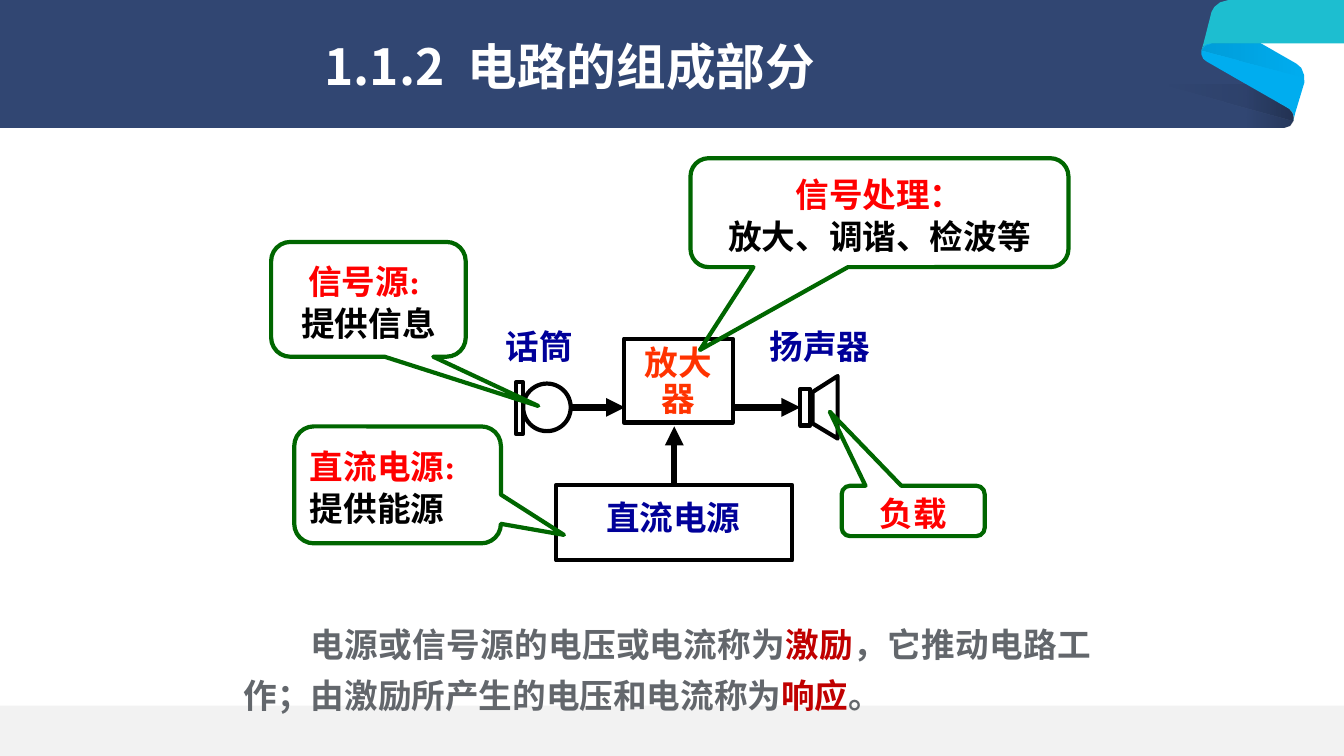
from dataclasses import dataclass

from lxml import etree
from pptx import Presentation
from pptx.dml.color import RGBColor
from pptx.enum.shapes import MSO_CONNECTOR, MSO_SHAPE
from pptx.enum.text import MSO_ANCHOR, MSO_AUTO_SIZE, PP_ALIGN
from pptx.oxml.ns import qn
from pptx.util import Pt

RECT, OVAL = MSO_SHAPE.RECTANGLE, MSO_SHAPE.OVAL
CALLOUT = MSO_SHAPE.ROUNDED_RECTANGULAR_CALLOUT
STRAIGHT = MSO_CONNECTOR.STRAIGHT
TOP, MIDDLE = MSO_ANCHOR.TOP, MSO_ANCHOR.MIDDLE
LEFT, CENTER, JUSTIFY = PP_ALIGN.LEFT, PP_ALIGN.CENTER, PP_ALIGN.JUSTIFY
NO_FIT = MSO_AUTO_SIZE.NONE


@dataclass(frozen=True)
class Theme:
    banner: str = "314672"
    fold: str = "00ADEF"
    ribbon: str = "1DBED0"
    footer: str = "F2F2F2"
    white: str = "FFFFFF"
    black: str = "000000"
    red: str = "FF0000"
    orange: str = "FF3300"
    blue: str = "000099"
    green: str = "006600"
    gray: str = "63676C"
    crimson: str = "C00000"
    serif: str = "Times New Roman"
    sans: str = "Noto Sans CJK SC"
    title_size: float = 35.5
    text_size: float = 24
    outline: float = 3
    arrow: float = 4.5


T = Theme()
TITLE = "1.1.2  电路的组成部分"
SUMMARY = [[("电源或信号源的电压或电流称为", T.gray), ("激励", T.crimson),
            ("，它推动电路工作；由激励所产生的电压和电流称为", T.gray),
            ("响应", T.crimson), ("。", T.gray)]]
LABELS = [("直流电源", (408.2, 348.5, 145.4, 36)),
          ("扬声器", (522.7, 226.8, 126, 36)),
          ("话筒", (337.7, 226.8, 95, 36))]
CALLOUTS = [
    ((210.2, 304.6, 147.6, 83.5), (0.805, 0.428, 0.167), LEFT,
     [[("直流电源:", T.red)], [("提供能源", T.black)]]),
    ((601.2, 347, 102.2, 36), (-0.583, -1.969, 0.167), CENTER,
     [[("负载", T.red)]]),
    ((193.7, 172.8, 139, 82), (0.873, 0.929, 0.167), CENTER,
     [[("信号源: ", T.red)], [("提供信息", T.black)]]),
    ((493.2, 113, 270, 77.8), (-0.475, 1.261, 0.167), CENTER,
     [[("信号处理：", T.red)], [("放大、调谐、检波等", T.black)]]),
]
BANNER = [(0, 0), (895, 0), (895, 51.8), (920.9, 77.8), (923.2, 80.5), (924, 84),
          (923.8, 86.4), (921.5, 90), (917.3, 91.4), (0, 91.4)]
FOLD = [(861.8, 43.9), (920.9, 77.8), (923.4, 80.6), (924.2, 84), (923.8, 86.4),
        (925.2, 80.6), (931.7, 59), (931.5, 53.5), (929.5, 48.5), (925.9, 45.4),
        (895.7, 28.1), (865.4, 29.5), (861, 31.5), (858.2, 36), (858.2, 39), (859.5, 42)]
RIBBON = [(858.2, 36), (859.7, 33.2), (862, 31.6), (865.4, 31), (960, 31), (960, 0),
          (877.7, 0), (871.5, 1.7), (867.4, 5), (865.4, 8.6), (859.7, 31)]
SHADES = [
    ([(890.6, 60.5), (890.6, 91.4), (917.3, 91.4), (921.5, 90), (923.8, 86.4),
      (924, 84), (923.2, 80.5), (920.9, 77.8)], 20, 180),
    ([(829.4, 60.5), (923.8, 86.4), (924, 84), (923.2, 80.5), (920.9, 77.8),
      (890.6, 60.5)], 10, 180),
    ([(858.2, 36), (931.7, 55.4), (930, 49.5), (925.9, 45.4), (900, 31),
      (865.4, 31), (861, 32.5)], 10, 0),
]
HORN = [(598.3, 268.6), (580.3, 280.1), (580.3, 302.4), (598.3, 313.2)]
SIGNAL_Y = 291


def rgb(value):
    """Turn a hex string into a colour."""
    return RGBColor.from_string(value)


def paint(sp, fill=None, line=None):
    """Set fill and outline and drop the shadow."""
    sp.shadow.inherit = False
    if fill:
        sp.fill.solid()
        sp.fill.fore_color.rgb = rgb(fill)
    else:
        sp.fill.background()
    if line:
        sp.line.color.rgb = rgb(line)
        sp.line.width = Pt(T.outline)
    else:
        sp.line.fill.background()
    return sp


def add_box(shapes, kind, box, fill=None, line=None):
    """Add a preset shape."""
    return paint(shapes.add_shape(kind, *map(Pt, box)), fill, line)


def add_outline(shapes, points, fill=None, line=None):
    """Add a closed freeform."""
    points = [(Pt(x), Pt(y)) for x, y in points]
    builder = shapes.build_freeform(*points[0])
    builder.add_line_segments(points[1:], close=True)
    return paint(builder.convert_to_shape(), fill, line)


def add_shade(shapes, points, opacity, angle):
    """Add a freeform that fades from translucent black to clear."""
    sp = add_outline(shapes, points)
    sp.fill.gradient()
    sp.fill.gradient_angle = angle
    for stop, position in zip(sp.fill.gradient_stops, (0, 1)):
        stop.position = position
        stop.color.rgb = rgb(T.black)
    for color, alpha in zip(sp._element.iter(qn("a:srgbClr")), (opacity, 0)):
        etree.SubElement(color, qn("a:alpha")).set("val", str(alpha * 1000))


def add_arrow(shapes, x1, y1, x2, y2):
    """Add a straight connector with an arrowhead at its end."""
    cx = shapes.add_connector(STRAIGHT, *map(Pt, (x1, y1, x2, y2)))
    cx.line.color.rgb = rgb(T.black)
    cx.line.width = Pt(T.arrow)
    etree.SubElement(cx.line._get_or_add_ln(), qn("a:tailEnd")).set("type", "triangle")
    etree.SubElement(cx._element.spPr, qn("a:effectLst"))
    return cx


def write(sp, paragraphs, size=T.text_size, font=T.serif, align=CENTER, anchor=TOP,
          leading=30, indent=0, top=5):
    """Fill a shape with paragraphs made of (text, colour) runs."""
    tf = sp.text_frame
    tf.word_wrap = True
    tf.auto_size = NO_FIT
    tf.vertical_anchor = anchor
    tf.margin_top = Pt(top)
    for i, runs in enumerate(paragraphs):
        p = tf.add_paragraph() if i else tf.paragraphs[0]
        p.alignment = align
        if leading:
            p.line_spacing = Pt(leading)
        if indent:
            p._p.get_or_add_pPr().set("indent", str(Pt(indent)))
        for text, color in runs:
            r = p.add_run()
            r.text = text
            r.font.size = Pt(size)
            r.font.bold = True
            r.font.name = font
            r.font.color.rgb = rgb(color)
            etree.SubElement(r.font._element, qn("a:ea")).set("typeface", T.sans)


def main():
    """Build the slide and save it."""
    prs = Presentation()
    prs.slide_width, prs.slide_height = Pt(960), Pt(540)
    slide = prs.slides.add_slide(prs.slide_layouts[5])
    shapes = slide.shapes

    for points, fill in ((BANNER, T.banner), (FOLD, T.fold), (RIBBON, T.ribbon)):
        add_outline(shapes, points, fill)
    for shade in SHADES:
        add_shade(shapes, *shade)
    add_box(shapes, RECT, (0, 504, 960, 36), T.footer)

    supply = add_box(shapes, RECT, (397.4, 346.3, 168.5, 54), line=T.black)
    add_box(shapes, OVAL, (373.7, SIGNAL_Y - 17, 34, 34), line=T.black)
    add_box(shapes, RECT, (368.6, SIGNAL_Y - 18, 5, 37), line=T.black)
    speaker = add_box(shapes, RECT, (571.7, SIGNAL_Y - 13, 7.2, 26), line=T.black)
    add_outline(shapes, HORN, line=T.black)
    add_arrow(shapes, 481.65, 346.3, 481.65, 304.6).begin_connect(supply, 0)
    add_arrow(shapes, 406.8, SIGNAL_Y, 446.4, SIGNAL_Y)
    add_arrow(shapes, 523.4, SIGNAL_Y, 571.7, SIGNAL_Y).end_connect(speaker, 1)
    amplifier = add_box(shapes, RECT, (445.7, 242, 77.8, 59.8), line=T.black)
    write(amplifier, [[("放大器", T.orange)]], leading=25.7)

    for text, box in LABELS:
        write(shapes.add_textbox(*map(Pt, box)), [[(text, T.blue)]])
    for box, adjustments, align, paragraphs in CALLOUTS:
        sp = add_box(shapes, CALLOUT, box, line=T.green)
        for i, value in enumerate(adjustments):
            sp.adjustments[i] = value
        write(sp, paragraphs, align=align, anchor=MIDDLE, top=6)

    summary = shapes.add_textbox(*map(Pt, (167, 433.4, 619.2, 80)))
    write(summary, SUMMARY, font=T.sans, align=JUSTIFY, leading=36.4, indent=48)

    title = shapes.title
    title.left, title.top, title.width, title.height = map(Pt, (224.6, 25.9, 427, 41.8))
    write(title, [[(TITLE, T.white)]], size=T.title_size, font=T.sans, align=LEFT,
          anchor=MIDDLE, leading=None, top=3.6)
    title._element.getparent().append(title._element)
    prs.save("out.pptx")


if __name__ == "__main__":
    main()
